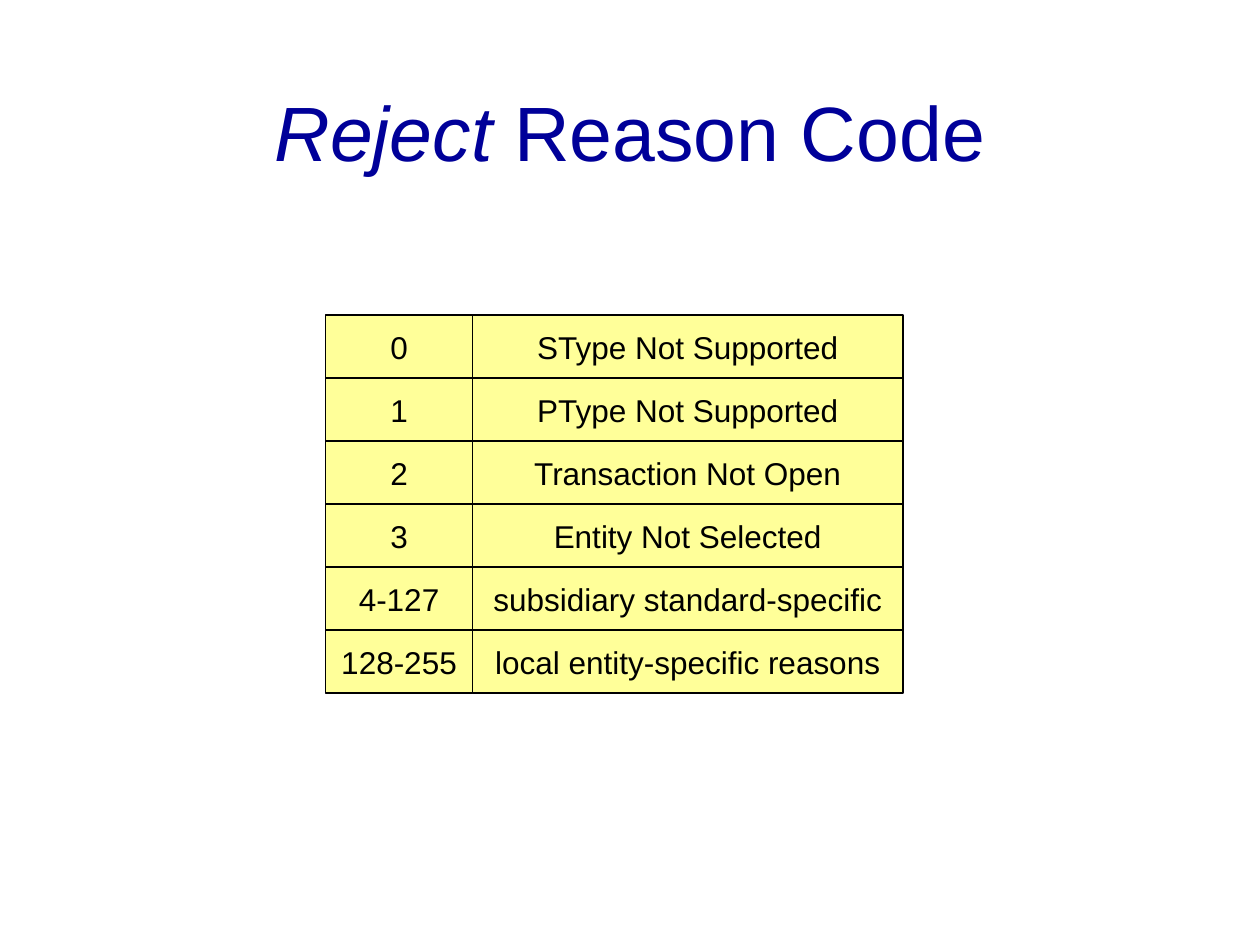
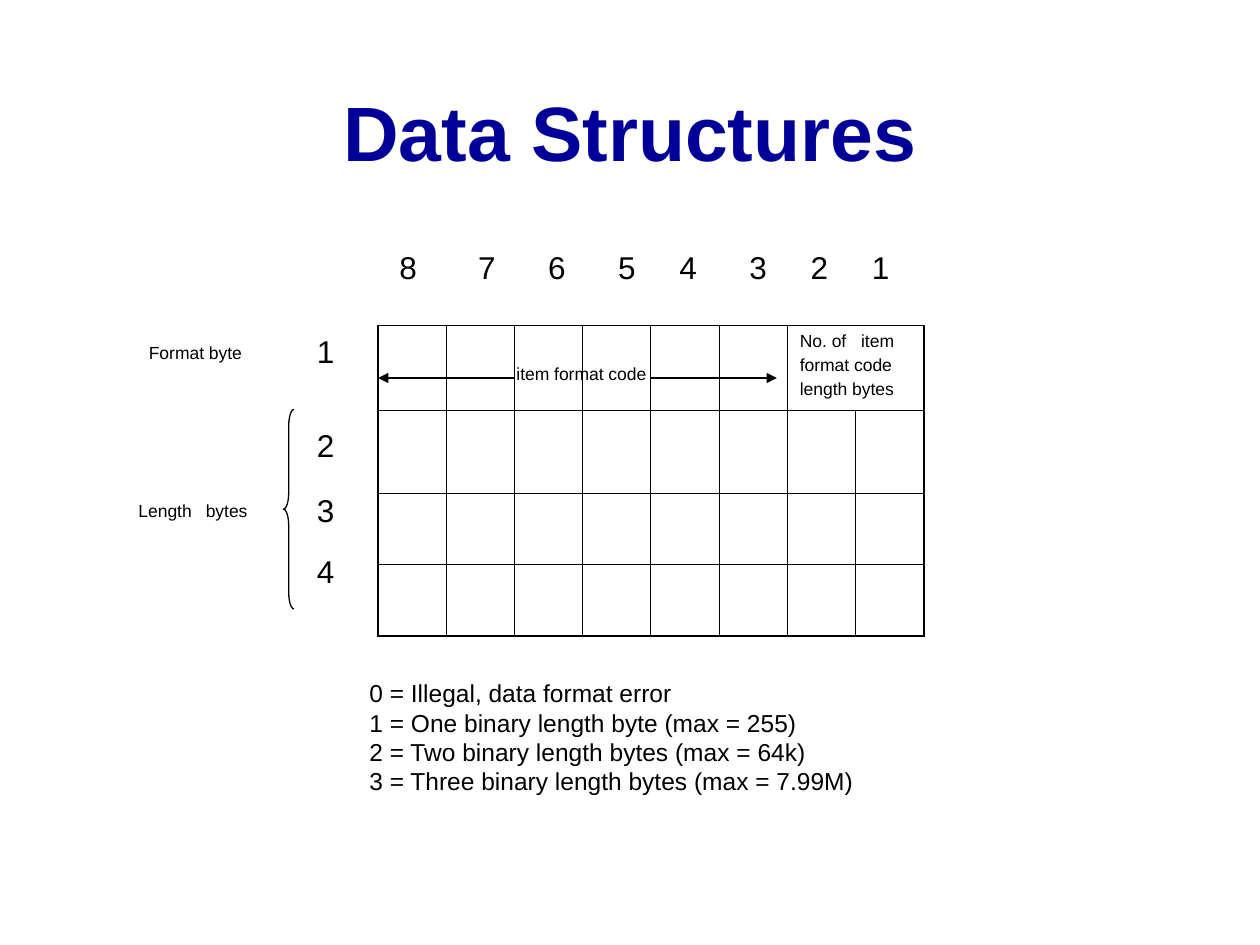
from dataclasses import dataclass

from lxml import etree
from pptx import Presentation
from pptx.dml.color import RGBColor
from pptx.enum.shapes import MSO_CONNECTOR, MSO_SHAPE
from pptx.enum.text import MSO_ANCHOR, MSO_AUTO_SIZE, PP_ALIGN
from pptx.oxml.ns import qn
from pptx.util import Pt

CENTER, LEFT = PP_ALIGN.CENTER, PP_ALIGN.LEFT
MIDDLE, TOP = MSO_ANCHOR.MIDDLE, MSO_ANCHOR.TOP
NO_FIT, GROW = MSO_AUTO_SIZE.NONE, MSO_AUTO_SIZE.SHAPE_TO_FIT_TEXT
STRAIGHT = MSO_CONNECTOR.STRAIGHT
BRACE, RECTANGLE = MSO_SHAPE.LEFT_BRACE, MSO_SHAPE.RECTANGLE
TITLE_ONLY = 5


@dataclass(frozen=True)
class Theme:
    font: str = "Arial"
    title: RGBColor = RGBColor(0x00, 0x00, 0x99)
    ink: RGBColor = RGBColor(0x00, 0x00, 0x00)
    cell: RGBColor = RGBColor(0xFF, 0xFF, 0x99)
    title_size: float = 44
    body_size: float = 18
    note_size: float = 14
    label_size: float = 10
    line: float = 0.75
    grid_outer: float = 1.08
    grid_inner: float = 0.45


THEME = Theme()

# Title spans: (text, bold, italic)
REASON_TITLE = [("Reject ", False, True), ("Reason Code", False, False)]
STRUCTURE_TITLE = [("Data Structures", True, False)]

REASONS = [
    ("0", "SType Not Supported"),
    ("1", "PType Not Supported"),
    ("2", "Transaction Not Open"),
    ("3", "Entity Not Selected"),
    ("4-127", "subsidiary standard-specific"),
    ("128-255", "local entity-specific reasons"),
]
REASON_COLUMNS = [(186, 84), (270, 246)]  # left, width
REASON_TOP, REASON_HEIGHT = 180, 36

BIT_NUMBERS = "8 7 6 5 4 3 2 1".split()
BIT_TABS = [45, 85, 125, 160, 200, 235, 270]
BYTE_NUMBERS = [("1", 186), ("2", 240), ("3", 277), ("4", 312)]  # text, top
GRID_LEFT, GRID_TOP, BIT_WIDTH = 216, 186, 39
BYTE_HEIGHTS = [48.5, 47.5, 40.5, 41]
LENGTH_CODE_COLUMN = 6
LENGTH_CODE = ["No. of\titem", "format code", "length bytes"]
LABELS = [  # lines, left, top, width, tabs
    (["item format code"], 288, 204, 90, []),
    (["Length\tbytes"], 72, 282, 84, [38.5]),
    (["Format byte"], 78, 192, 78, []),
]
ARROWS = [(294, GRID_LEFT), (372, 444)]  # from, to
ARROW_TOP = 216
LENGTH_CODES = [
    "0 = Illegal, data format error",
    "1 = One binary length byte (max = 255)",
    "2 = Two binary length bytes (max = 64k)",
    "3 = Three binary length bytes (max = 7.99M)",
]


def style_span(span, size, color=THEME.ink, bold=False, italic=False):
    font = span.font
    font.name, font.size, font.color.rgb = THEME.font, Pt(size), color
    font.bold, font.italic = bold, italic


def write_lines(frame, lines, size, align=LEFT, tabs=(), gap=0):
    """Fill a text frame, one paragraph per line, with gap points between them."""
    frame.text = "\n".join(lines)
    for index, para in enumerate(frame.paragraphs):
        if tabs:
            stops = etree.SubElement(para._p.get_or_add_pPr(), qn("a:tabLst"))
            for stop in tabs:
                etree.SubElement(stops, qn("a:tab"), pos=str(Pt(stop)), algn="l")
        para.alignment = align
        if index and gap:
            para.space_before = Pt(gap)
        for span in para.runs:
            style_span(span, size)


def add_page(deck, title_spans):
    page = deck.slides.add_slide(deck.slide_layouts[TITLE_ONLY])
    title = page.shapes.title
    title.left, title.top, title.width, title.height = map(Pt, (24, 29.5, 672, 90))
    frame = title.text_frame
    frame.auto_size, frame.vertical_anchor = NO_FIT, MIDDLE
    para = frame.paragraphs[0]
    para.alignment = CENTER
    for text, bold, italic in title_spans:
        span = para.add_run()
        span.text = text
        style_span(span, THEME.title_size, THEME.title, bold, italic)
    return page


def add_text(page, lines, left, top, width, height, size, inset=7.2, tabs=()):
    box = page.shapes.add_textbox(*map(Pt, (left, top, width, height)))
    frame = box.text_frame
    frame.word_wrap, frame.auto_size = True, GROW
    frame.margin_left = Pt(inset)
    write_lines(frame, lines, size, tabs=tabs)


def set_line(shape):
    shape.line.color.rgb = THEME.ink
    shape.line.width = Pt(THEME.line)


def add_outlined(page, kind, left, top, width, height, fill=None):
    shape = page.shapes.add_shape(kind, *map(Pt, (left, top, width, height)))
    shape.shadow.inherit = False
    if fill is None:
        shape.fill.background()
    else:
        shape.fill.solid()
        shape.fill.fore_color.rgb = fill
    set_line(shape)
    return shape


def set_borders(cell, widths):
    """Draw the left, right, top and bottom borders at the given widths."""
    properties = cell._tc.get_or_add_tcPr()
    for index, (side, width) in enumerate(zip("LRTB", widths)):
        border = etree.Element(qn(f"a:ln{side}"), w=str(Pt(width)))
        fill = etree.SubElement(border, qn("a:solidFill"))
        etree.SubElement(fill, qn("a:srgbClr"), val=str(THEME.ink))
        properties.insert(index, border)


def add_byte_grid(page):
    rows, columns = len(BYTE_HEIGHTS), len(BIT_NUMBERS)
    size = (BIT_WIDTH * columns, sum(BYTE_HEIGHTS))
    frame = page.shapes.add_table(rows, columns,
                                  *map(Pt, (GRID_LEFT, GRID_TOP, *size)))
    table = frame.table
    table.first_row = table.horz_banding = False
    for column in table.columns:
        column.width = Pt(BIT_WIDTH)
    for row, height in zip(table.rows, BYTE_HEIGHTS):
        row.height = Pt(height)
    length_cell = table.cell(0, LENGTH_CODE_COLUMN)
    length_cell.merge(table.cell(0, columns - 1))
    for r in range(rows):
        for c in range(columns):
            cell = table.cell(r, c)
            cell.fill.background()
            last = c + (cell.span_width if cell.is_merge_origin else 1) == columns
            on_edge = (c == 0, last, r == 0, r == rows - 1)
            set_borders(cell, [THEME.grid_outer if edge else THEME.grid_inner
                               for edge in on_edge])
    length_cell.vertical_anchor = TOP
    write_lines(length_cell.text_frame, LENGTH_CODE, THEME.label_size,
                tabs=[35], gap=2.5)


def add_arrow(page, start, end, top):
    arrow = page.shapes.add_connector(STRAIGHT, *map(Pt, (start, top, end, top)))
    set_line(arrow)
    etree.SubElement(arrow.line._get_or_add_ln(), qn("a:tailEnd"), type="triangle")
    etree.SubElement(arrow._element.spPr, qn("a:effectLst"))


def build_reasons(deck):
    page = add_page(deck, REASON_TITLE)
    for r, reason in enumerate(REASONS):
        top = REASON_TOP + r * REASON_HEIGHT
        for text, (left, width) in zip(reason, REASON_COLUMNS):
            box = add_outlined(page, RECTANGLE, left, top, width, REASON_HEIGHT,
                               THEME.cell)
            frame = box.text_frame
            frame.word_wrap, frame.vertical_anchor = False, MIDDLE
            write_lines(frame, [text], THEME.body_size, CENTER)


def build_structures(deck):
    page = add_page(deck, STRUCTURE_TITLE)
    add_byte_grid(page)
    add_text(page, ["\t".join(BIT_NUMBERS)], GRID_LEFT, 138,
             BIT_WIDTH * len(BIT_NUMBERS), 28.8, THEME.body_size,
             inset=12.2, tabs=BIT_TABS)
    for number, top in BYTE_NUMBERS:
        add_text(page, [number], 174, top, 24, 28.8, THEME.body_size)
    for lines, left, top, width, tabs in LABELS:
        add_text(page, lines, left, top, width, 19.2, THEME.label_size, tabs=tabs)
    for start, end in ARROWS:
        add_arrow(page, start, end, ARROW_TOP)
    brace = add_outlined(page, BRACE, 162, 234, 6, 114)
    brace.adjustments[0] = 1.58
    add_text(page, LENGTH_CODES, 204, 384, 360, 75, THEME.note_size)


def main():
    deck = Presentation()
    deck.slide_width, deck.slide_height = Pt(720), Pt(540)
    build_reasons(deck)
    build_structures(deck)
    deck.save("out.pptx")


if __name__ == "__main__":
    main()
